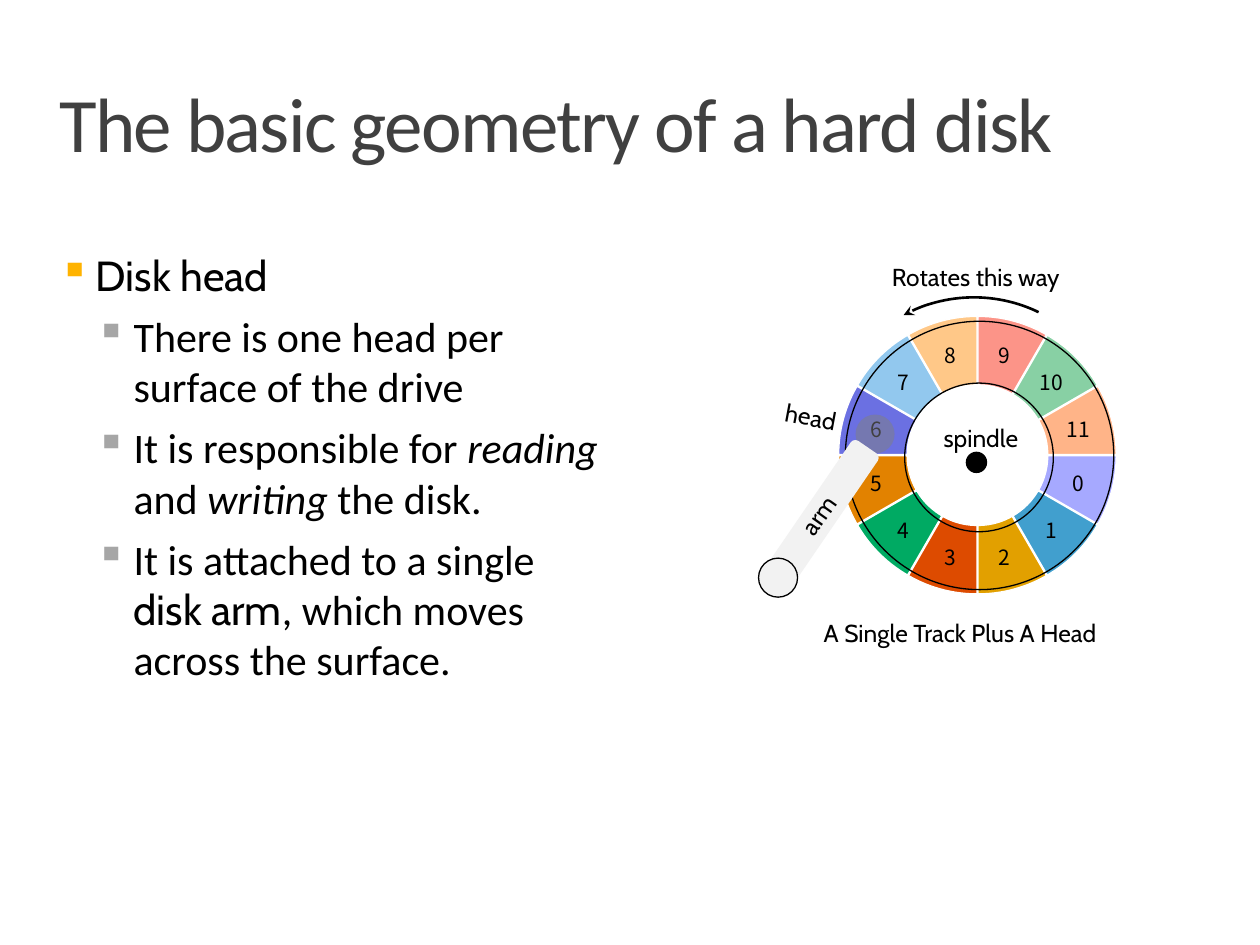
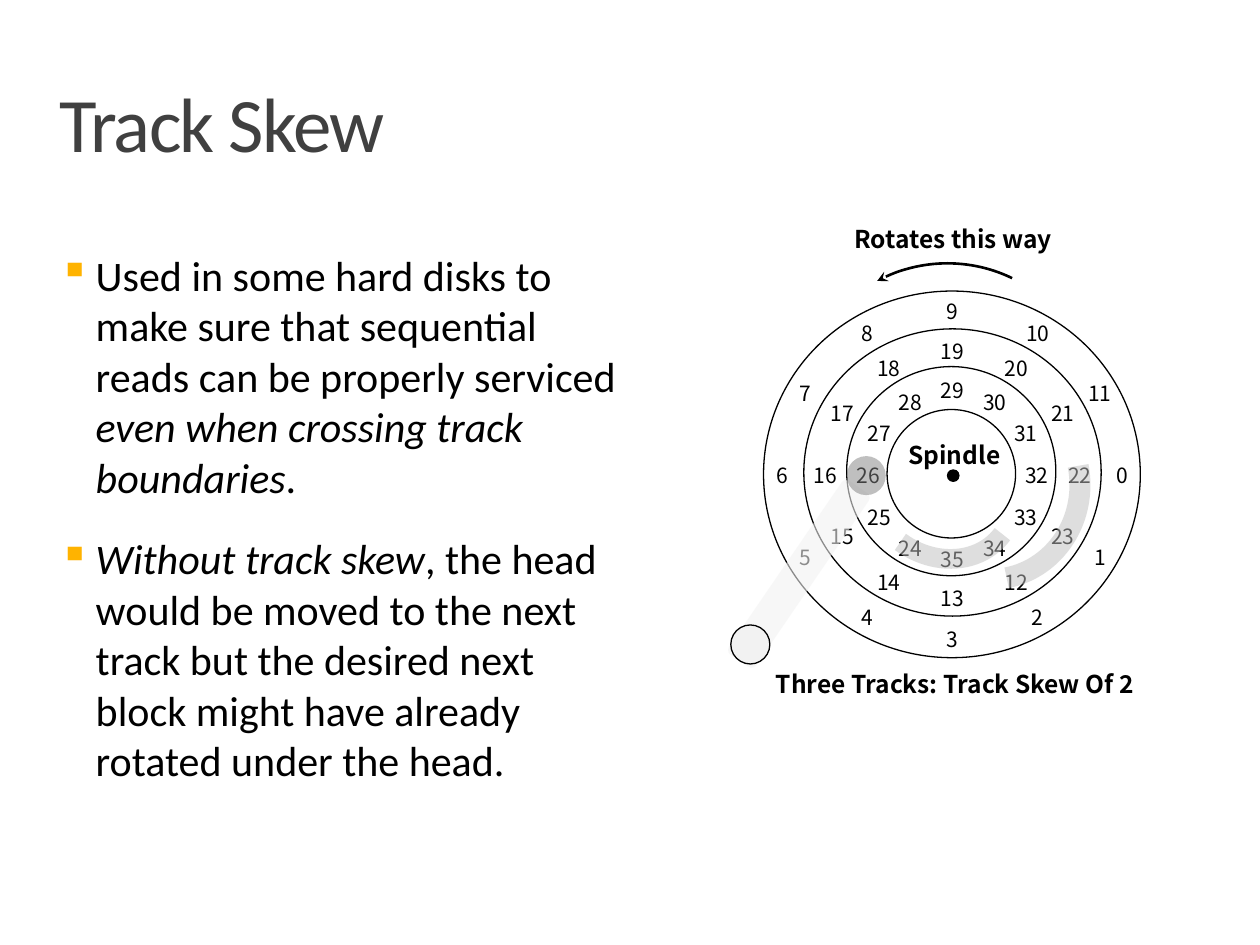
"""Build two slides on hard disk geometry and track skew."""
from dataclasses import dataclass
from math import cos, radians, sin

from lxml import etree
from pptx import Presentation
from pptx.chart.data import CategoryChartData
from pptx.dml.color import RGBColor
from pptx.enum.chart import XL_CHART_TYPE
from pptx.enum.shapes import MSO_SHAPE
from pptx.enum.text import MSO_ANCHOR, MSO_AUTO_SIZE, PP_ALIGN
from pptx.oxml.ns import qn
from pptx.util import Inches, Pt

ELLIPSE, ROUNDED, ARC = MSO_SHAPE.OVAL, MSO_SHAPE.ROUNDED_RECTANGLE, MSO_SHAPE.ARC
DOUGHNUT = XL_CHART_TYPE.DOUGHNUT_EXPLODED
TOP = MSO_ANCHOR.TOP
GROW, FIXED = MSO_AUTO_SIZE.SHAPE_TO_FIT_TEXT, MSO_AUTO_SIZE.NONE
CENTER, LEFT = PP_ALIGN.CENTER, PP_ALIGN.LEFT
TITLE_ONLY = 5
SECTORS = 12


@dataclass(frozen=True)
class Theme:
    """Colours, fonts and type sizes of the deck."""
    black: str = "000000"
    white: str = "FFFFFF"
    title: str = "404040"
    accent: str = "FFB300"
    sub_bullet: str = "A6A6A6"
    arm: str = "F2F2F2"
    head: str = "808080"
    sweep: str = "BFBFBF"
    sectors: tuple = ("419FCE", "E2A000", "DD4B00", "00AA63", "E28200", "6B70E2",
                      "92C8EE", "FFC888", "FC9488", "88D0A4", "FFB488", "A6A9FF")
    text_font: str = "Calibri"
    accent_font: str = "Cabin"
    number_font: str = "Noto Sans CJK KR"
    title_size: int = 44
    body_size: int = 24
    label_size: int = 14
    number_size: int = 12
    thin: float = 0.75


def add_xml(parent, tag, **attributes):
    """Append a child element with the given attributes."""
    child = etree.SubElement(parent, qn(tag))
    for name, value in attributes.items():
        child.set(name, str(value))
    return child


def set_alpha(fill_parent, percent):
    """Make the colour below an element partly transparent."""
    for color in fill_parent.iter(qn("a:srgbClr")):
        add_xml(color, "a:alpha", val=percent * 1000)


class DiskDeck:
    """Hold the theme and the current page, and draw its elements."""

    def __init__(self, theme):
        self.theme = theme
        self.deck = Presentation()
        self.deck.slide_width, self.deck.slide_height = Inches(10), Inches(7.5)
        self.page = None

    def style(self, font, name, size, color, bold=None, italic=None):
        """Format one font."""
        font.name, font.size = name, Pt(size)
        font.bold, font.italic = bold, italic
        font.color.rgb = RGBColor.from_string(color)

    def span(self, para, text, name, size, color, **looks):
        """Add one formatted run."""
        span = para.add_run()
        span.text = text
        self.style(span.font, name, size, color, **looks)
        return span

    def frame(self, box, insets, auto_size):
        """Set up the text frame of a box."""
        frame = box.text_frame
        frame.word_wrap, frame.auto_size = True, auto_size
        frame.vertical_anchor = TOP
        (frame.margin_left, frame.margin_top,
         frame.margin_right, frame.margin_bottom) = map(Inches, insets)
        return frame

    def start_page(self, title):
        """Add a page with its title."""
        self.page = self.deck.slides.add_slide(self.deck.slide_layouts[TITLE_ONLY])
        box = self.page.shapes.title
        box.left, box.top, box.width, box.height = map(Inches, (0.47, 0.7, 9.06, 1.28))
        para = self.frame(box, (0, 0.04, 0, 0), FIXED).paragraphs[0]
        para.alignment, para.line_spacing = LEFT, 0.8
        theme = self.theme
        span = self.span(para, title, theme.text_font, theme.title_size, theme.title)
        span.font._element.set("spc", "-100")

    def body(self, place, items, columns=1):
        """Add bulleted text from (level, spans) items."""
        theme = self.theme
        box = self.page.shapes.add_textbox(*map(Inches, place))
        frame = self.frame(box, (0, 0, 0, 0), FIXED)
        if columns > 1:
            frame._element.bodyPr.set("numCol", str(columns))
            frame._element.bodyPr.set("spcCol", str(Inches(0.39)))
        for index, (level, spans) in enumerate(items):
            para = frame.add_paragraph() if index else frame.paragraphs[0]
            para.level = level
            para.space_before = Pt(6 if level else 18)
            props = para._p.get_or_add_pPr()
            props.set("marL", str(Inches(0.59 if level else 0.29)))
            props.set("indent", str(Inches(-0.3 if level else -0.29)))
            color = add_xml(props, "a:buClr")
            add_xml(color, "a:srgbClr", val=theme.sub_bullet if level else theme.accent)
            add_xml(props, "a:buChar", char="▪")
            for text, kind in spans:
                name = theme.accent_font if kind == "accent" else theme.text_font
                self.span(para, text, name, theme.body_size, theme.black,
                          italic=kind == "italic")

    def label(self, place, text, name, size=None, bold=None, turn=0, side=0.1):
        """Add a centred one-line label."""
        box = self.page.shapes.add_textbox(*map(Inches, place))
        box.rotation = turn
        para = self.frame(box, (side, 0.05, side, 0.05), GROW).paragraphs[0]
        para.alignment = CENTER
        self.span(para, text, name, size or self.theme.label_size,
                  self.theme.black, bold=bold)

    def shape(self, kind, place, fill=None, line=None, weight=None, alpha=100, turn=0):
        """Add a preset shape."""
        shape = self.page.shapes.add_shape(kind, *map(Inches, place))
        shape.shadow.inherit = False
        shape.rotation = turn
        if fill:
            shape.fill.solid()
            shape.fill.fore_color.rgb = RGBColor.from_string(fill)
        else:
            shape.fill.background()
        if line:
            shape.line.color.rgb = RGBColor.from_string(line)
            shape.line.width = Pt(weight or self.theme.thin)
        else:
            shape.line.fill.background()
        if alpha < 100:
            set_alpha(shape._element.spPr, alpha)
        return shape

    def circle(self, left, top, width, height=None, **looks):
        """Add an outlined ellipse."""
        self.shape(ELLIPSE, (left, top, width, height or width),
                   line=self.theme.black, **looks)

    def head(self, left, top):
        """Add the half-transparent disk head."""
        self.shape(ELLIPSE, (left, top, 0.31, 0.31), fill=self.theme.head, alpha=50)

    def arm(self, left, top, length, alpha=100):
        """Add the slanted disk arm."""
        self.shape(ROUNDED, (left, top, 0.26, length), fill=self.theme.arm,
                   alpha=alpha, turn=34.4)

    def rotation_arrow(self, left, top):
        """Add the curved arrow that shows the direction of rotation."""
        arrow = self.shape(ARC, (left, top, 2.36, 2.36), line=self.theme.black,
                           weight=1.5, turn=45)
        arrow.adjustments[0], arrow.adjustments[1] = 173.52, 205.93
        arrow._element.spPr.xfrm.set("flipH", "1")
        add_xml(arrow.line._get_or_add_ln(), "a:tailEnd", type="stealth")

    def sector_chart(self, place):
        """Add the doughnut chart of one track's sectors."""
        theme = self.theme
        data = CategoryChartData()
        data.categories = [str(number + 1) for number in range(SECTORS)]
        data.add_series("Series 1", [8] * SECTORS)
        chart = self.page.shapes.add_chart(DOUGHNUT, *map(Inches, place), data).chart
        chart.has_legend = chart.has_title = False
        self.style(chart.font, theme.number_font, theme.number_size, theme.black)

        plot = chart.plots[0]
        for tag, value in (("firstSliceAng", 120), ("holeSize", 50), ("explosion", 3)):
            for element in plot._element.iter(qn(f"c:{tag}")):
                element.set("val", str(value))

        area = chart.element.chart.plotArea
        for layout in area.findall(qn("c:layout")):
            area.remove(layout)
        layout = etree.Element(qn("c:layout"))
        area.insert(0, layout)
        manual = add_xml(layout, "c:manualLayout")
        for tag, value in (("layoutTarget", "inner"), ("xMode", "edge"), ("yMode", "edge"),
                           ("x", 0.18), ("y", 0.09), ("w", 0.66), ("h", 0.79)):
            add_xml(manual, f"c:{tag}", val=value)

        series = plot.series[0]
        for index, color in enumerate(theme.sectors):
            look = series.points[index].format
            look.fill.solid()
            look.fill.fore_color.rgb = RGBColor.from_string(color)
            look.line.color.rgb = RGBColor.from_string(theme.white)
            look.line.width = Pt(theme.thin)
        labels = series.data_labels
        labels.show_category_name = True
        labels.show_value = labels.show_percentage = False
        self.style(labels.font, theme.number_font, theme.number_size, theme.black)
        para = series.points[SECTORS - 1].data_label.text_frame.paragraphs[0]
        self.span(para, "0", theme.number_font, theme.number_size, theme.black)

    def track_numbers(self, center, radii, skew):
        """Number the sectors of every track, each track shifted by the skew."""
        width, height = 0.39, 0.3
        for track, (radius_x, radius_y) in enumerate(radii):
            for sector in range(SECTORS):
                angle = radians(360 / SECTORS * (sector + skew * track))
                left = center[0] + radius_x * cos(angle) - width / 2
                top = center[1] + radius_y * sin(angle) - height / 2
                self.label((left, top, width, height), str(SECTORS * track + sector),
                           self.theme.number_font, self.theme.number_size, side=0)


def geometry_page(deck):
    """Draw the page on the disk head."""
    theme = deck.theme
    deck.start_page("The basic geometry of a hard disk")
    deck.body((0.47, 1.98, 9.06, 5.52), [
        (0, [("Disk head", "accent")]),
        (1, [("There is one head per surface of the drive", "plain")]),
        (1, [("It is responsible for ", "plain"), ("reading", "italic"),
             (" and ", "plain"), ("writing", "italic"), (" the disk.", "plain")]),
        (1, [("It is attached to a single ", "plain"), ("disk arm", "accent"),
             (", which moves across the surface.", "plain")]),
    ], columns=2)
    deck.label((5.88, 4.86, 3.48, 0.34), "A Single Track Plus A Head", theme.accent_font)
    deck.sector_chart((6.05, 2.26, 3.35, 2.79))
    deck.circle(6.71, 2.55, 2.13)
    deck.circle(7.18, 3.04, 1.18)
    deck.circle(7.67, 3.59, 0.16, fill=theme.black)
    deck.label((7.3, 3.31, 0.97, 0.34), "spindle", theme.accent_font)
    deck.label((6.76, 2.03, 1.97, 0.34), "Rotates this way", theme.accent_font)
    deck.label((6.1, 3.14, 0.67, 0.34), "head", theme.accent_font, turn=10.6)
    deck.head(6.79, 3.29)
    deck.arm(6.37, 3.43, 1.36)
    deck.label((6.12, 3.92, 0.75, 0.34), "arm", theme.accent_font, turn=305.5)
    deck.circle(6.02, 4.43, 0.31, fill=theme.arm)
    deck.rotation_arrow(6.55, 2.36)


def skew_page(deck):
    """Draw the page on track skew."""
    theme = deck.theme
    deck.start_page("Track Skew")
    deck.body((0.47, 1.98, 4.53, 5.12), [
        (0, [("Used in some hard disks to make sure that sequential reads can be "
              "properly serviced ", "plain"),
             ("even when crossing track boundaries", "italic"), (".", "plain")]),
        (0, [("Without track skew", "italic"),
             (", the head would be moved to the next track but the desired next "
              "block might have already rotated under the head.", "plain")]),
    ])
    for place in ((7.04, 3.25, 1.02, 1.02), (6.72, 2.91, 1.66, 1.66),
                  (6.38, 2.61, 2.36, 2.28), (6.06, 2.31, 2.99, 2.91)):
        deck.circle(*place)
    deck.track_numbers((7.56, 3.77), ((1.35, 1.3), (1.01, 0.98), (0.67, 0.67)), skew=2)
    deck.circle(7.52, 3.73, 0.09, fill=theme.black)
    for place, text in (((6.05, 5.26, 3.06, 0.34), "Three Tracks: Track Skew Of 2"),
                        ((7.09, 3.44, 0.97, 0.34), "Spindle"),
                        ((6.58, 1.73, 1.97, 0.34), "Rotates this way")):
        deck.label(place, text, theme.number_font, bold=True)
    deck.arm(6.21, 3.72, 1.67, alpha=58)
    deck.head(6.72, 3.62)
    deck.circle(5.8, 4.96, 0.31, fill=theme.arm)
    for place, weight, turn in (((6.93, 3.26, 1.06, 1.23), 11.25, 126.4),
                                ((7.08, 3.11, 1.53, 1.45), 12, 79.1)):
        deck.shape(ARC, place, line=theme.sweep, weight=weight, alpha=50, turn=turn)
    deck.rotation_arrow(6.34, 2.09)


def main():
    """Build and save the deck."""
    deck = DiskDeck(Theme())
    geometry_page(deck)
    skew_page(deck)
    deck.deck.save("out.pptx")


if __name__ == "__main__":
    main()
